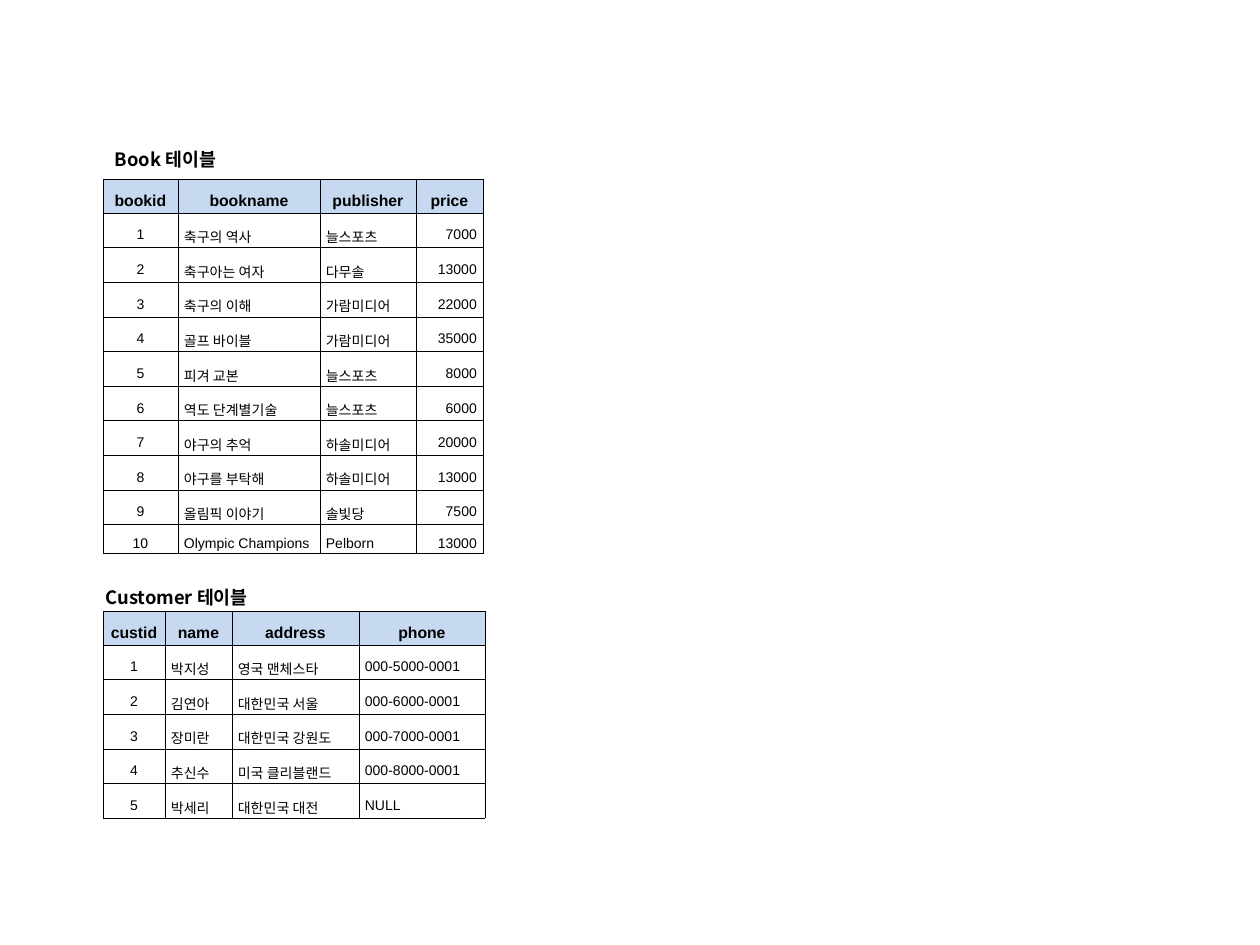
from dataclasses import dataclass

from lxml import etree
from pptx import Presentation, util as u
from pptx.dml.color import RGBColor
from pptx.enum import text
from pptx.oxml import ns

PX = 914400 // 126
LEFT, CENTER, RIGHT = text.PP_ALIGN.LEFT, text.PP_ALIGN.CENTER, text.PP_ALIGN.RIGHT


@dataclass(frozen=True)
class Theme:
    ink: str = "000000"
    head: str = "C6D9F1"
    face: str = "Arial"
    title_face: str = "Noto Sans CJK KR"
    title_size: float = 10.5
    head_size: float = 9
    body_size: float = 8
    leading: float = 1.6
    rule: float = 0.28


THEME = Theme()

BOOKS = [
    ("bookid", "bookname", "publisher", "price"),
    ("1", "축구의 역사", "늘스포츠", "7000"),
    ("2", "축구아는 여자", "다무솔", "13000"),
    ("3", "축구의 이해", "가람미디어", "22000"),
    ("4", "골프 바이블", "가람미디어", "35000"),
    ("5", "피겨 교본", "늘스포츠", "8000"),
    ("6", "역도 단계별기술", "늘스포츠", "6000"),
    ("7", "야구의 추억", "하솔미디어", "20000"),
    ("8", "야구를 부탁해", "하솔미디어", "13000"),
    ("9", "올림픽 이야기", "솔빛당", "7500"),
    ("10", "Olympic Champions", "Pelborn", "13000"),
]

CUSTOMERS = [
    ("custid", "name", "address", "phone"),
    ("1", "박지성", "영국 맨체스타", "000-5000-0001"),
    ("2", "김연아", "대한민국 서울", "000-6000-0001"),
    ("3", "장미란", "대한민국 강원도", "000-7000-0001"),
    ("4", "추신수", "미국 클리블랜드", "000-8000-0001"),
    ("5", "박세리", "대한민국 대전", "NULL"),
]


def px(n):
    return u.Emu(n * PX)


def add_run(para, words, size, face, bold):
    run = para.add_run()
    run.text = words
    font = run.font
    font.size, font.name, font.bold = u.Pt(size), face, bold
    font.color.rgb = RGBColor.from_string(THEME.ink)
    return run


def add_title(slide, words, left, top):
    box = slide.shapes.add_textbox(px(left), px(top), px(194), px(30))
    frame = box.text_frame
    frame.word_wrap = True
    frame.vertical_anchor = text.MSO_ANCHOR.MIDDLE
    frame.margin_left = frame.margin_right = px(9)
    frame.margin_top = frame.margin_bottom = px(5)
    run = add_run(frame.paragraphs[0], words, THEME.title_size, THEME.title_face, True)
    east = etree.SubElement(run.font._element, ns.qn("a:ea"))
    east.set("typeface", THEME.title_face)


def add_rules(cell):
    """Draw a thin line on all four sides of a cell."""
    props = cell._tc.get_or_add_tcPr()
    for side in ("lnL", "lnR", "lnT", "lnB"):
        line = etree.SubElement(props, ns.qn(f"a:{side}"), w=str(u.Pt(THEME.rule)))
        fill = etree.SubElement(line, ns.qn("a:solidFill"))
        etree.SubElement(fill, ns.qn("a:srgbClr"), val=THEME.ink)


def fill_cell(cell, words, align, head):
    add_rules(cell)
    if head:
        cell.fill.solid()
        cell.fill.fore_color.rgb = RGBColor.from_string(THEME.head)
    else:
        cell.fill.background()
    cell.vertical_anchor = text.MSO_ANCHOR.MIDDLE
    cell.margin_left = cell.margin_right = px(6)
    cell.margin_top = cell.margin_bottom = px(1)
    para = cell.text_frame.paragraphs[0]
    para.alignment = CENTER if head else align
    para.line_spacing = THEME.leading
    size = THEME.head_size if head else THEME.body_size
    add_run(para, words, size, THEME.face, head)


def add_grid(slide, rows, top, widths, aligns):
    heights = [34] + [29] * (len(rows) - 1)
    frame = slide.shapes.add_table(
        len(rows), len(widths), px(103), px(top), px(sum(widths)), px(sum(heights))
    )
    table = frame.table
    table.first_row = table.horz_banding = False
    for col, width in zip(table.columns, widths):
        col.width = px(width)
    for r, (row, height) in enumerate(zip(rows, heights)):
        table.rows[r].height = px(height)
        for c, (words, align) in enumerate(zip(row, aligns)):
            fill_cell(table.cell(r, c), words, align, r == 0)


def main():
    deck = Presentation()
    deck.slide_width, deck.slide_height = px(1260), px(945)
    slide = deck.slides.add_slide(deck.slide_layouts[6])
    add_grid(slide, BOOKS, 179, (75, 142, 96, 67), (CENTER, LEFT, LEFT, RIGHT))
    add_grid(slide, CUSTOMERS, 611, (62, 67, 127, 126), (CENTER, LEFT, LEFT, LEFT))
    add_title(slide, "Book 테이블", 106, 144)
    add_title(slide, "Customer 테이블", 97, 582)
    deck.save("out.pptx")


if __name__ == "__main__":
    main()
